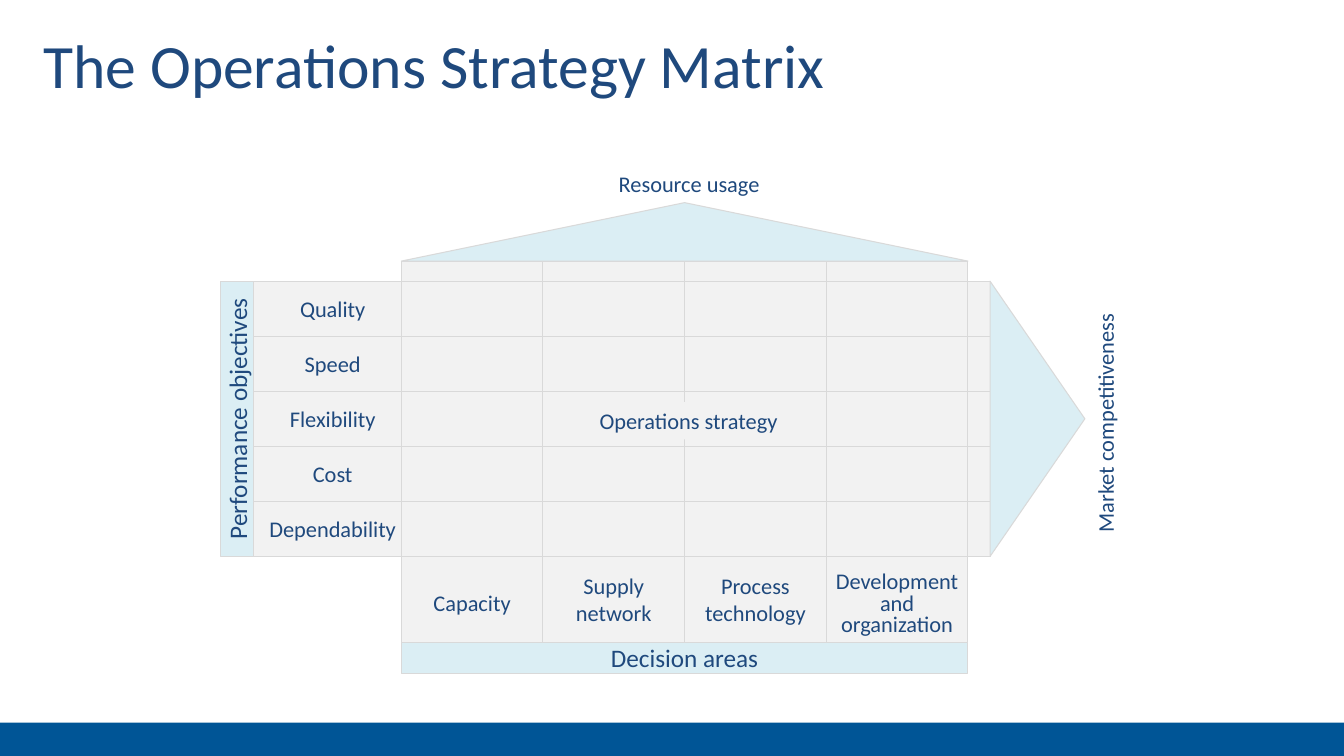
from dataclasses import dataclass

import lxml.etree
import pptx
import pptx.dml.color
import pptx.enum.shapes
import pptx.enum.text
import pptx.oxml.ns
import pptx.util

Inches = pptx.util.Inches
Shapes = pptx.enum.shapes.MSO_SHAPE
Anchor = pptx.enum.text.MSO_ANCHOR
Align = pptx.enum.text.PP_ALIGN


@dataclass(frozen=True)
class Theme:
    """Colours, font and type sizes of the deck."""
    text: str = "1F497D"
    bar: str = "005596"
    panel: str = "F2F2F2"
    accent: str = "DBEEF4"
    rule: str = "D9D9D9"
    font: str = "Calibri"
    title_size: int = 44
    heading_size: int = 18
    label_size: int = 16
    rule_width: float = 0.75


@dataclass(frozen=True)
class Box:
    """A rectangle in inches."""
    left: float
    top: float
    width: float
    height: float

    @property
    def right(self):
        """Return the right edge."""
        return self.left + self.width

    @property
    def bottom(self):
        """Return the bottom edge."""
        return self.top + self.height

    def lengths(self):
        """Return left, top, width and height as lengths."""
        return [Inches(n) for n in (self.left, self.top, self.width, self.height)]


THEME = Theme()
OBJECTIVES = ["Quality", "Speed", "Flexibility", "Cost", "Dependability"]
AREAS = ["Capacity", "Supply network", "Process technology",
         "Development and organization"]


def colour(value):
    """Return a colour object for a hex value."""
    return pptx.dml.color.RGBColor.from_string(value)


def write(shape, text, size, align=Align.CENTER, anchor=Anchor.MIDDLE):
    """Write one paragraph into a shape and return the paragraph."""
    frame = shape.text_frame
    frame.word_wrap = True
    frame.auto_size = pptx.enum.text.MSO_AUTO_SIZE.NONE
    frame.vertical_anchor = anchor
    frame.text = text
    para = frame.paragraphs[0]
    para.alignment = align
    for span in para.runs:
        span.font.name = THEME.font
        span.font.size = pptx.util.Pt(size)
        span.font.color.rgb = colour(THEME.text)
    return para


def add_panel(page, box, fill, kind=Shapes.RECTANGLE, outlined=True):
    """Add a filled shape, with a thin outline if wanted."""
    panel = page.shapes.add_shape(kind, *box.lengths())
    panel.shadow.inherit = False
    panel.fill.solid()
    panel.fill.fore_color.rgb = colour(fill)
    if outlined:
        panel.line.color.rgb = colour(THEME.rule)
        panel.line.width = pptx.util.Pt(THEME.rule_width)
    else:
        panel.line.fill.background()
    return panel


def add_rule(page, start, end):
    """Add a thin straight line between two points."""
    rule = page.shapes.add_connector(
        pptx.enum.shapes.MSO_CONNECTOR.STRAIGHT, *[Inches(n) for n in start + end])
    rule.line.color.rgb = colour(THEME.rule)
    rule.line.width = pptx.util.Pt(THEME.rule_width)
    lxml.etree.SubElement(rule.element.spPr, pptx.oxml.ns.qn("a:effectLst"))


def add_label(page, box, text, anchor=Anchor.MIDDLE, rotation=0):
    """Add a label and return its paragraph."""
    label = page.shapes.add_textbox(*box.lengths())
    label.rotation = rotation
    return write(label, text, THEME.label_size, anchor=anchor)


def add_title(page, box, text):
    """Place and format the title."""
    title = page.shapes.title
    title.left, title.top, title.width, title.height = box.lengths()
    write(title, text, THEME.title_size, Align.LEFT)


def add_grid(page, core, columns, rows):
    """Draw the crossing panels, the arrows and the rules."""
    add_panel(page, columns, THEME.panel)
    add_panel(page, rows, THEME.panel)
    depth = 0.58
    middle = core.left + core.width / 2
    upright = Box(middle - depth / 2, columns.top - depth / 2 - core.width / 2,
                  depth, core.width)
    sideways = Box(rows.right, core.top, 0.94, core.height)
    for box, rotation in ((upright, 270), (sideways, 0)):
        arrow = add_panel(page, box, THEME.accent, Shapes.PENTAGON)
        arrow.adjustments[0] = 1.0
        arrow.rotation = rotation
    for index in range(len(AREAS) + 1):
        x = core.left + index * core.width / len(AREAS)
        add_rule(page, (x, columns.top), (x, columns.bottom))
    for index in range(1, len(OBJECTIVES)):
        y = core.top + index * core.height / len(OBJECTIVES)
        add_rule(page, (rows.left, y), (rows.right, y))


def add_objectives(page, box):
    """Add the heading and labels left of the grid."""
    heading = add_panel(page, Box(box.left - 0.32, box.top, 0.32, box.height),
                        THEME.accent)
    write(heading, "Performance objectives", THEME.heading_size)
    heading.element.txBody.bodyPr.set("vert", "vert270")
    pitch = box.height / len(OBJECTIVES)
    for index, name in enumerate(OBJECTIVES):
        add_label(page, Box(box.left + 0.02, box.top + index * pitch,
                            box.width + 0.07, pitch), name)


def add_areas(page, box):
    """Add the heading and labels below the grid."""
    heading = add_panel(page, Box(box.left, box.bottom, box.width, 0.31), THEME.accent)
    write(heading, "Decision areas", THEME.heading_size)
    pitch = box.width / len(AREAS)
    for index, name in enumerate(AREAS):
        single = " " not in name
        cell = Box(box.left + index * pitch - 0.06, box.top + (0.28 if single else 0.11),
                   pitch + 0.12, 0.37 if single else 0.63)
        para = add_label(page, cell, name, Anchor.TOP)
        if name.count(" ") > 1:
            para.line_spacing = 0.8


def add_matrix(page, box):
    """Draw the whole matrix inside the given box."""
    core = Box(box.left + 1.79, box.top + 1.15, 5.62, 2.73)
    columns = Box(core.left, core.top - 0.2, core.width, 3.78)
    rows = Box(core.left - 1.47, core.top, 7.31, core.height)
    add_grid(page, core, columns, rows)
    add_objectives(page, Box(rows.left, core.top, 1.47, core.height))
    add_areas(page, Box(core.left, core.bottom, core.width, columns.bottom - core.bottom))
    centre = add_panel(page, Box(core.left + 1.65, core.top + 1.2, 2.4, 0.37),
                       THEME.panel, outlined=False)
    write(centre, "Operations strategy", THEME.label_size, anchor=Anchor.TOP)
    add_label(page, Box(box.right - 2.62, core.top + 1.22, 2.62, 0.37),
              "Market competitiveness", rotation=270)
    add_label(page, Box(core.left + 1.37, box.top, 2.97, 0.37), "Resource usage")


def main():
    """Build and save the deck."""
    deck = pptx.Presentation()
    deck.slide_width, deck.slide_height = Inches(13.33), Inches(7.5)
    page = deck.slides.add_slide(deck.slide_layouts.get_by_name("Title Only"))
    add_panel(page, Box(0, 7.17, 13.33, 0.33), THEME.bar, outlined=False)
    add_title(page, Box(0.33, 0.17, 12.67, 0.92), "The Operations Strategy Matrix")
    add_matrix(page, Box(2.19, 1.64, 10.08, 5.04))
    deck.save("out.pptx")


if __name__ == "__main__":
    main()
